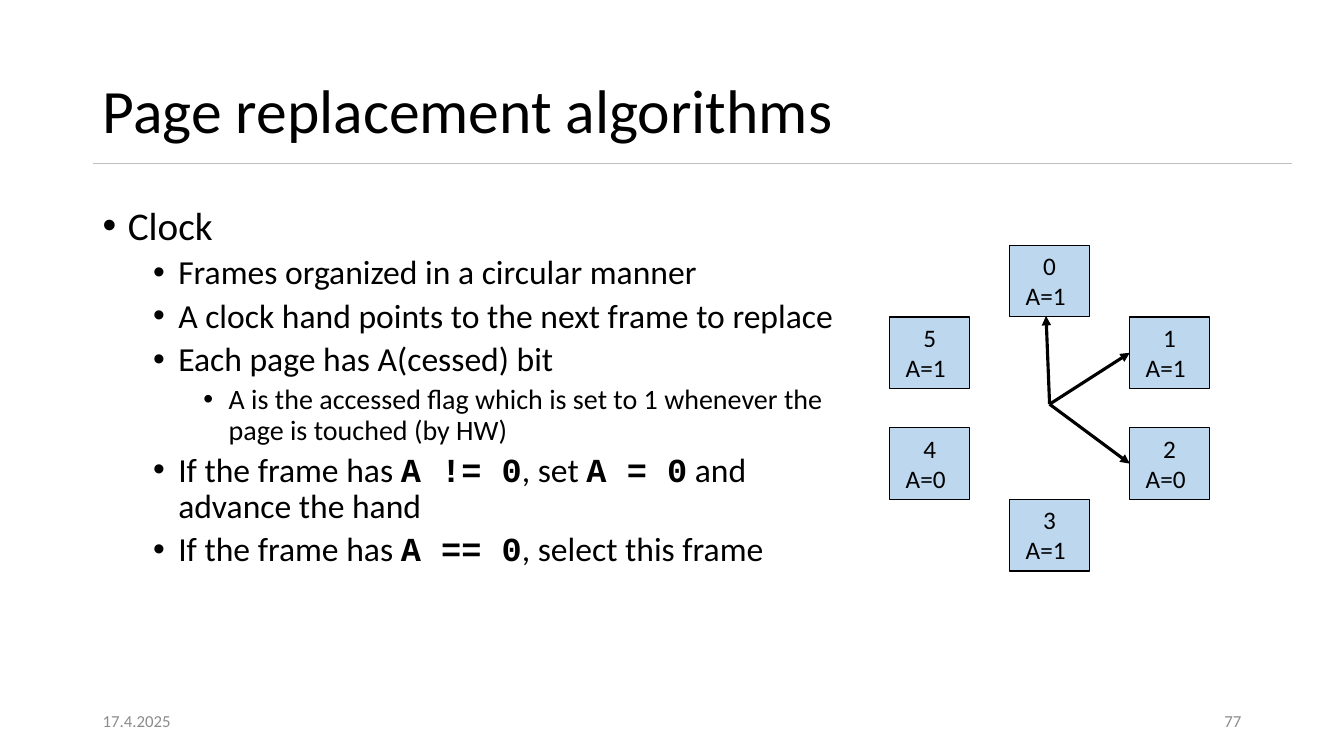
from dataclasses import dataclass

from lxml.etree import SubElement
from pptx import Presentation
from pptx.dml.color import RGBColor
from pptx.enum.shapes import MSO_CONNECTOR, MSO_SHAPE
from pptx.enum.text import MSO_ANCHOR, MSO_AUTO_SIZE, PP_ALIGN
from pptx.oxml.ns import qn
from pptx.util import Inches, Pt

TITLE = "Page replacement algorithms"
DATE, PAGE_NUMBER = "17.4.2025", "77"

# (level, spans); a span is (text, is_code)
BULLETS = [
    (0, [("Clock", False)]),
    (1, [("Frames organized in a circular manner", False)]),
    (1, [("A clock hand points to the next frame to replace", False)]),
    (1, [("Each page has A(cessed) bit", False)]),
    (2, [("A is the accessed flag which is set to 1 whenever the page is touched (by HW)", False)]),
    (1, [("If the frame has ", False), ("A != 0", True), (", set ", False),
         ("A = 0", True), (" and advance the hand", False)]),
    (1, [("If the frame has ", False), ("A == 0", True), (", select this frame", False)]),
]

# (number, accessed bit, column, row), both counted from the clock centre
FRAMES = [
    ("0", "A=1", 0, -2), ("1", "A=1", 1, -1), ("2", "A=0", 1, 1),
    ("3", "A=1", 0, 2), ("4", "A=0", -1, 1), ("5", "A=1", -1, -1),
]


@dataclass(frozen=True)
class Theme:
    font: str = "Calibri"
    code_font: str = "Courier New"
    ink: RGBColor = RGBColor(0, 0, 0)
    muted: RGBColor = RGBColor(0x8C, 0x8C, 0x8C)
    rule: RGBColor = RGBColor(0xBF, 0xBF, 0xBF)
    frame: RGBColor = RGBColor(0xBD, 0xD7, 0xEE)
    title_size: int = 44
    bullet_sizes: tuple = (28, 24, 20)
    frame_size: int = 18
    footer_size: int = 12


THEME = Theme()
SLIDE_WIDTH, SLIDE_HEIGHT = 13.33, 7.5
MARGIN = 0.92
FOOTER_TOP, FOOTER_WIDTH, FOOTER_HEIGHT = 6.95, 3, 0.4
CLOCK_X, CLOCK_Y = 10.41, 4.05
COLUMN_PITCH = 1.19
ROW_OFFSETS = {-2: -1.26, -1: -0.55, 1: 0.55, 2: 1.26}
FRAME_WIDTH, FRAME_HEIGHT = 0.79, 0.71
BIT_WIDTH, BIT_HEIGHT = 0.6, 0.4
BIT_LEFT, BIT_TOP = 0.06, 0.3
HAND_START = (CLOCK_X, 4.01)
BOTTOM, LEFT = 2, 1


def add_span(para, text, size, color=THEME.ink, code=False):
    span = para.add_run()
    span.text = text
    span.font.name = THEME.code_font if code else THEME.font
    span.font.size = Pt(size)
    span.font.bold = code
    span.font.color.rgb = color


def add_text_box(slide, left, top, width, height, anchor=MSO_ANCHOR.MIDDLE):
    box = slide.shapes.add_textbox(*map(Inches, (left, top, width, height)))
    box.text_frame.word_wrap = True
    box.text_frame.vertical_anchor = anchor
    return box.text_frame


def add_line(slide, start, end, color, width):
    line = slide.shapes.add_connector(MSO_CONNECTOR.STRAIGHT, *map(Inches, (*start, *end)))
    line.line.color.rgb = color
    line.line.width = Pt(width)
    SubElement(line._element.spPr, qn("a:effectLst"))
    return line


def add_hand(slide, target, side):
    """Draw an arrow from the clock centre to one side of the target."""
    hand = add_line(slide, HAND_START, HAND_START, THEME.ink, 2.25)
    hand.end_connect(target, side)
    outline = hand.line._get_or_add_ln()
    SubElement(outline, qn("a:tailEnd"), type="triangle")


def add_tile(slide, text, left, top, width, height, outlined):
    tile = slide.shapes.add_shape(MSO_SHAPE.RECTANGLE, *map(Inches, (left, top, width, height)))
    tile.shadow.inherit = False
    tile.fill.solid()
    tile.fill.fore_color.rgb = THEME.frame
    if outlined:
        tile.line.color.rgb = THEME.ink
        tile.line.width = Pt(0.75)
    else:
        tile.line.fill.background()
        tile.text_frame.auto_size = MSO_AUTO_SIZE.SHAPE_TO_FIT_TEXT
    tile.text_frame.word_wrap = False
    tile.text_frame.vertical_anchor = MSO_ANCHOR.TOP
    para = tile.text_frame.paragraphs[0]
    para.alignment = PP_ALIGN.CENTER if outlined else PP_ALIGN.LEFT
    add_span(para, text, THEME.frame_size)
    return tile


def add_heading(slide):
    add_line(slide, (MARGIN, 1.62), (12.81, 1.62), THEME.rule, 1)
    para = add_text_box(slide, MARGIN, 0.4, 10.63, 1.45).paragraphs[0]
    para.line_spacing = 0.9
    add_span(para, TITLE, THEME.title_size)


def add_bullets(slide):
    body = add_text_box(slide, MARGIN, 2, 7.46, 4.76, MSO_ANCHOR.TOP)
    for index, (level, spans) in enumerate(BULLETS):
        para = body.add_paragraph() if index else body.paragraphs[0]
        properties = para._p.get_or_add_pPr()
        properties.set("marL", str(Inches(0.25 + 0.5 * level)))
        properties.set("indent", str(Inches(-0.25)))
        SubElement(properties, qn("a:buFont"), typeface="Arial")
        SubElement(properties, qn("a:buChar"), char="•")
        para.level = level
        para.line_spacing = 0.9
        para.space_before = Pt(5 if index else 0)
        for text, code in spans:
            add_span(para, text, THEME.bullet_sizes[level], code=code)


def add_clock(slide):
    frames, bits = {}, {}
    for number, bit, column, row in FRAMES:
        left = CLOCK_X + column * COLUMN_PITCH - FRAME_WIDTH / 2
        top = CLOCK_Y + ROW_OFFSETS[row] - FRAME_HEIGHT / 2
        frames[number] = add_tile(slide, number, left, top, FRAME_WIDTH, FRAME_HEIGHT, True)
        bits[number] = add_tile(slide, bit, left + BIT_LEFT, top + BIT_TOP,
                                BIT_WIDTH, BIT_HEIGHT, False)
    add_hand(slide, bits["0"], BOTTOM)
    add_hand(slide, frames["1"], LEFT)
    add_hand(slide, frames["2"], LEFT)


def add_footer(slide):
    right_column = SLIDE_WIDTH - MARGIN - FOOTER_WIDTH
    for text, left, alignment in ((DATE, MARGIN, PP_ALIGN.LEFT),
                                  (PAGE_NUMBER, right_column, PP_ALIGN.RIGHT)):
        para = add_text_box(slide, left, FOOTER_TOP, FOOTER_WIDTH, FOOTER_HEIGHT).paragraphs[0]
        para.alignment = alignment
        add_span(para, text, THEME.footer_size, THEME.muted)


def main():
    deck = Presentation()
    deck.slide_width, deck.slide_height = Inches(SLIDE_WIDTH), Inches(SLIDE_HEIGHT)
    slide = deck.slides.add_slide(deck.slide_layouts[6])
    add_heading(slide)
    add_bullets(slide)
    add_clock(slide)
    add_footer(slide)
    deck.save("out.pptx")


if __name__ == "__main__":
    main()
